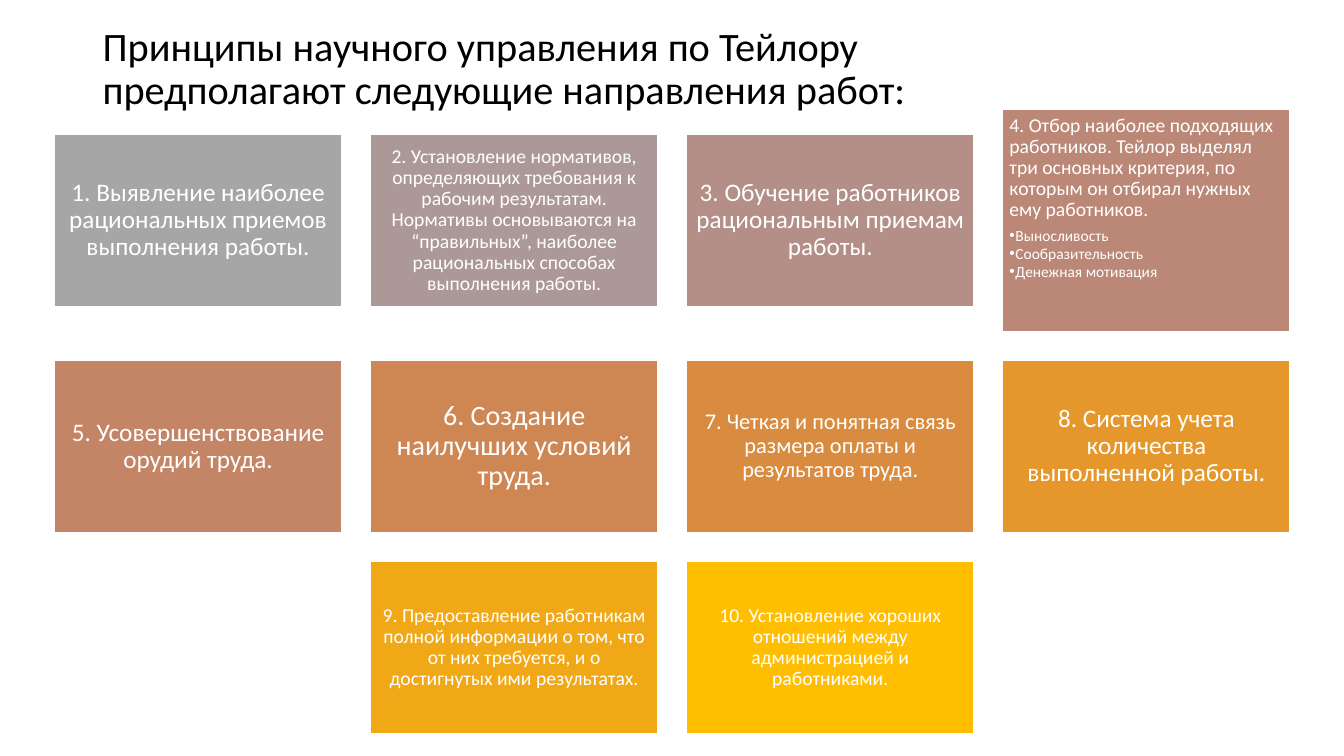
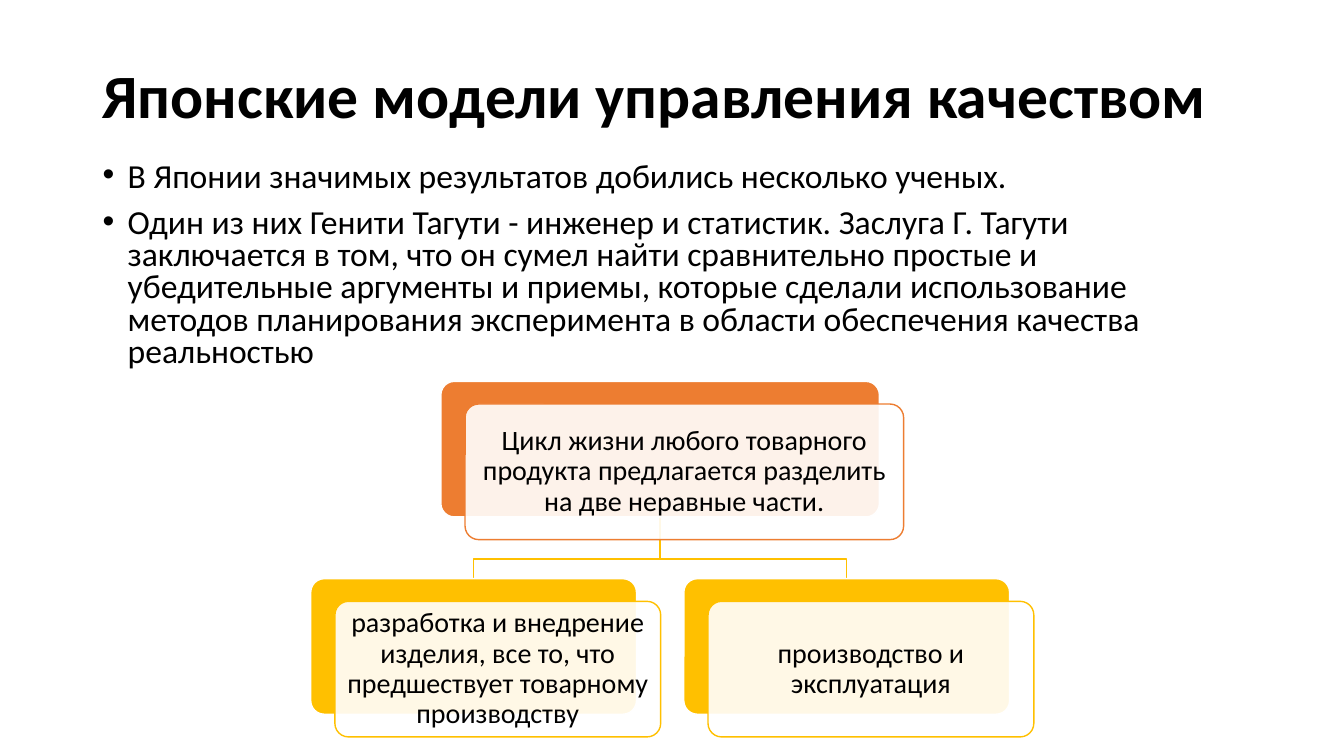
"""Build two slides on scientific management and Japanese quality models."""
import colorsys
from dataclasses import dataclass

from lxml import etree
from pptx import Presentation
from pptx import util as u
from pptx.dml.color import RGBColor
from pptx.enum import shapes, text
from pptx.oxml import ns


@dataclass(frozen=True)
class Theme:
    """Colours as hex strings and type sizes in points."""
    font: str = "Calibri"
    bullet_font: str = "Arial"
    ink: str = "000000"
    paper: str = "FFFFFF"
    root: str = "ED7D31"
    leaf: str = "FFC000"
    small_title: float = 28.8
    large_title: float = 44
    body: float = 24
    node: float = 20
    card_list: float = 11

    def ramp(self, share):
        """Return the card colour at a share of the way from grey to gold."""
        hue, lightness = share * 45 / 360, 0.65 - 0.15 * share
        rgb = colorsys.hls_to_rgb(hue, lightness, share)
        return "".join(f"{round(255 * part):02X}" for part in rgb)


class Deck:
    """Draw styled elements placed by percentages of the slide's size."""

    def __init__(self, theme):
        """Start an empty widescreen deck."""
        self.theme = theme
        self.file = Presentation()
        self.file.slide_width = u.Inches(13.33)
        self.file.slide_height = u.Inches(7.5)
        self.page = None

    def area(self, *shares):
        """Turn alternating horizontal and vertical percentages into lengths."""
        sides = (self.file.slide_width, self.file.slide_height)
        return [u.Emu(round(share * sides[i % 2] / 100)) for i, share in enumerate(shares)]

    def place(self, box, shares):
        """Move and size a box."""
        box.left, box.top, box.width, box.height = self.area(*shares)

    def add_page(self, layout, title, shares, size, bold=False):
        """Add a slide and fill its title placeholder."""
        self.page = self.file.slides.add_slide(self.file.slide_layouts[layout])
        box = self.page.shapes.title
        self.place(box, shares)
        frame = box.text_frame
        frame.text = title
        frame.auto_size = text.MSO_AUTO_SIZE.NONE
        frame.vertical_anchor = text.MSO_ANCHOR.MIDDLE
        self.style(frame.paragraphs[0], size, self.theme.ink, bold=bold)

    def style(self, para, size, color, align=text.PP_ALIGN.LEFT, spacing=0.9, bold=False):
        """Format a paragraph and all its runs."""
        para.alignment = align
        para.line_spacing = spacing
        for span in para.runs:
            span.font.name = self.theme.font
            span.font.size = u.Pt(size)
            span.font.bold = bold
            span.font.color.rgb = RGBColor.from_string(color)

    def bullet(self, para, indent):
        """Give a paragraph a hanging bullet."""
        properties = para._p.get_or_add_pPr()
        properties.set("marL", str(u.Inches(indent)))
        properties.set("indent", str(-u.Inches(indent)))
        etree.SubElement(properties, ns.qn("a:buFont")).set("typeface", self.theme.bullet_font)
        etree.SubElement(properties, ns.qn("a:buChar")).set("char", "•")

    def body(self, items, shares):
        """Fill the body placeholder with a bulleted list."""
        box = self.page.placeholders[1]
        self.place(box, shares)
        frame = box.text_frame
        frame.text = "\n".join(items)
        frame.auto_size = text.MSO_AUTO_SIZE.NONE
        for i, para in enumerate(frame.paragraphs):
            self.bullet(para, 0.25)
            para.space_before = u.Pt(10 if i else 0)
            self.style(para, self.theme.body, self.theme.ink, spacing=0.8)

    def shape(self, kind, shares, fill, line):
        """Add a flat preset shape."""
        box = self.page.shapes.add_shape(kind, *self.area(*shares))
        box.shadow.inherit = False
        box.fill.solid()
        box.fill.fore_color.rgb = RGBColor.from_string(fill)
        box.line.color.rgb = RGBColor.from_string(line)
        box.line.width = u.Pt(1)
        return box

    def label(self, box, words, size, color, margin=0.34, anchor=text.MSO_ANCHOR.MIDDLE,
              align=text.PP_ALIGN.CENTER):
        """Write text in a shape, with the margin as a share of the type size."""
        frame = box.text_frame
        frame.word_wrap = True
        frame.vertical_anchor = anchor
        frame.margin_left = frame.margin_right = u.Pt(size * margin)
        frame.margin_top = frame.margin_bottom = u.Pt(size * 0.3)
        frame.text = words
        self.style(frame.paragraphs[0], size, color, align)
        return frame

    def card(self, shares, fill, words, size, items=()):
        """Add a coloured card, top-aligned when it carries a list."""
        paper = self.theme.paper
        box = self.shape(shapes.MSO_SHAPE.RECTANGLE, shares, fill, paper)
        if not items:
            self.label(box, words, size, paper)
            return
        frame = self.label(box, words, size, paper, anchor=text.MSO_ANCHOR.TOP,
                           align=text.PP_ALIGN.LEFT)
        frame.paragraphs[0].space_after = u.Pt(5)
        for item in items:
            para = frame.add_paragraph()
            para.text = item
            self.bullet(para, 0.06)
            para.space_after = u.Pt(1)
            self.style(para, self.theme.card_list, paper)

    def node(self, center, top, width, color, words):
        """Add a tree node: a solid block under an offset translucent panel."""
        kind, paper = shapes.MSO_SHAPE.ROUNDED_RECTANGLE, self.theme.paper
        left, height = center - width / 2, 17.93
        block = self.shape(kind, (left, top, width, height), color, paper)
        panel = self.shape(kind, (left + 1.8, top + 3, width, height), paper, color)
        for box in (block, panel):
            box.adjustments[0] = 0.1
        tint = panel.element.spPr.find(".//" + ns.qn("a:srgbClr"))
        etree.SubElement(tint, ns.qn("a:alpha")).set("val", "90000")
        self.label(panel, words, self.theme.node, self.theme.ink, margin=0.28)

    def branch(self, start, bar, end):
        """Add a bent line that turns at the height of the bar."""
        corners = [(start[0], bar), (end[0], bar), end]
        builder = self.page.shapes.build_freeform(*self.area(*start), scale=1.0)
        builder.add_line_segments([self.area(*corner) for corner in corners], close=False)
        line = builder.convert_to_shape()
        line.shadow.inherit = False
        line.fill.background()
        line.line.color.rgb = RGBColor.from_string(self.theme.leaf)
        line.line.width = u.Pt(1)


CARDS = [
    ("1. Выявление наиболее рациональных приемов выполнения работы.", 18),
    ("2. Установление нормативов, определяющих требования к рабочим результатам. "
     "Нормативы основываются на “правильных”, наиболее рациональных способах "
     "выполнения работы.", 14),
    ("3. Обучение работников рациональным приемам работы.", 18),
    ("4. Отбор наиболее подходящих работников. Тейлор выделял три основных критерия, "
     "по которым он отбирал нужных ему работников.", 14),
    ("5. Усовершенствование орудий труда.", 18),
    ("6. Создание наилучших условий труда.", 20),
    ("7. Четкая и понятная связь размера оплаты и результатов труда.", 16),
    ("8. Система учета количества выполненной работы.", 18),
    ("9. Предоставление работникам полной информации о том, что от них требуется, "
     "и о достигнутых ими результатах.", 14),
    ("10. Установление хороших отношений между администрацией и работниками.", 14),
]
CRITERIA = ["Выносливость", "Сообразительность", "Денежная мотивация"]
SCIENTISTS = [
    "В Японии значимых результатов добились несколько ученых.",
    "Один из них Генити Тагути - инженер и статистик. Заслуга Г. Тагути заключается в том, "
    "что он сумел найти сравнительно простые и убедительные аргументы и приемы, которые "
    "сделали использование методов планирования эксперимента в области обеспечения "
    "качества реальностью",
]
STAGES = [
    "разработка и внедрение изделия, все то, что предшествует товарному производству",
    "производство и эксплуатация",
]


def add_principles(deck):
    """Lay the ten principles out in rows of four, the last row centred."""
    deck.add_page(5, "Принципы научного управления по Тейлору\v"
                  "предполагают следующие направления работ:",
                  (6.88, 4.13, 86.25, 10.27), deck.theme.small_title)
    columns, width, height, step = 4, 21.38, 22.83, 23.52
    tops = (17.75, 47.65, 74.27)
    for i, (words, size) in enumerate(CARDS):
        row, column = divmod(i, columns)
        in_row = min(columns, len(CARDS) - row * columns)
        left = 4.05 + step * (column + (columns - in_row) / 2)
        items = CRITERIA if i == 3 else ()
        extra = 6.6 if items else 0
        deck.card((left, tops[row] - extra / 2, width, height + extra),
                  deck.theme.ramp(i / (len(CARDS) - 1)), words, size, items)


def add_japanese_models(deck):
    """Show the list of results above a two-branch tree."""
    deck.add_page(1, "Японские модели управления качеством",
                  (6.88, 5.33, 86.25, 15.47), deck.theme.large_title, bold=True)
    deck.body(SCIENTISTS, (6.88, 20.8, 86.25, 31.47))
    middle, reach, root_top, bar, leaf_top = 49.12, 13.88, 50.45, 73.95, 76.55
    centers = (middle + reach, middle - reach)
    for center in centers:
        deck.branch((middle, root_top + 17.93), bar, (center, leaf_top))
    deck.node(middle, root_top, 32.63, deck.theme.root,
              "Цикл жизни любого товарного продукта предлагается разделить "
              "на две неравные части.")
    for center, words in zip(reversed(centers), STAGES):
        deck.node(center, leaf_top, 24.24, deck.theme.leaf, words)


def main():
    """Build and save the deck."""
    deck = Deck(Theme())
    add_principles(deck)
    add_japanese_models(deck)
    deck.file.save("out.pptx")


if __name__ == "__main__":
    main()
